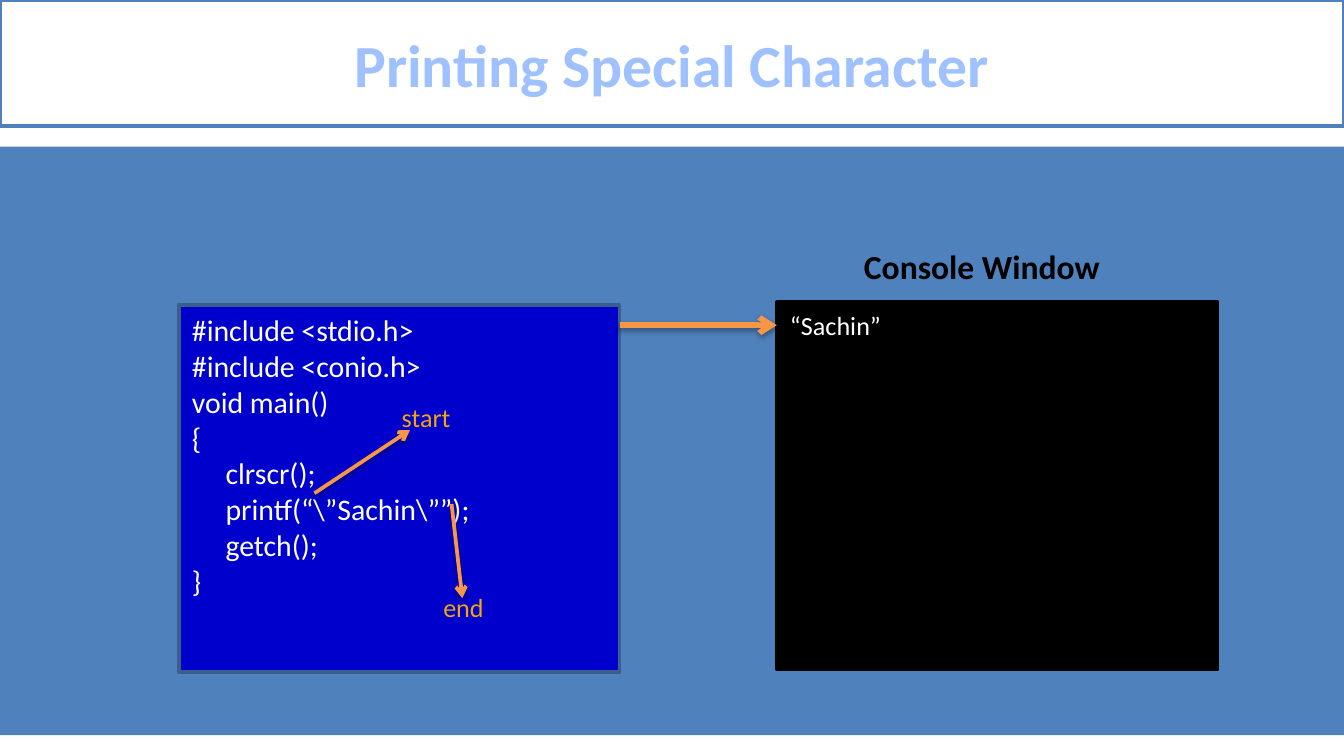
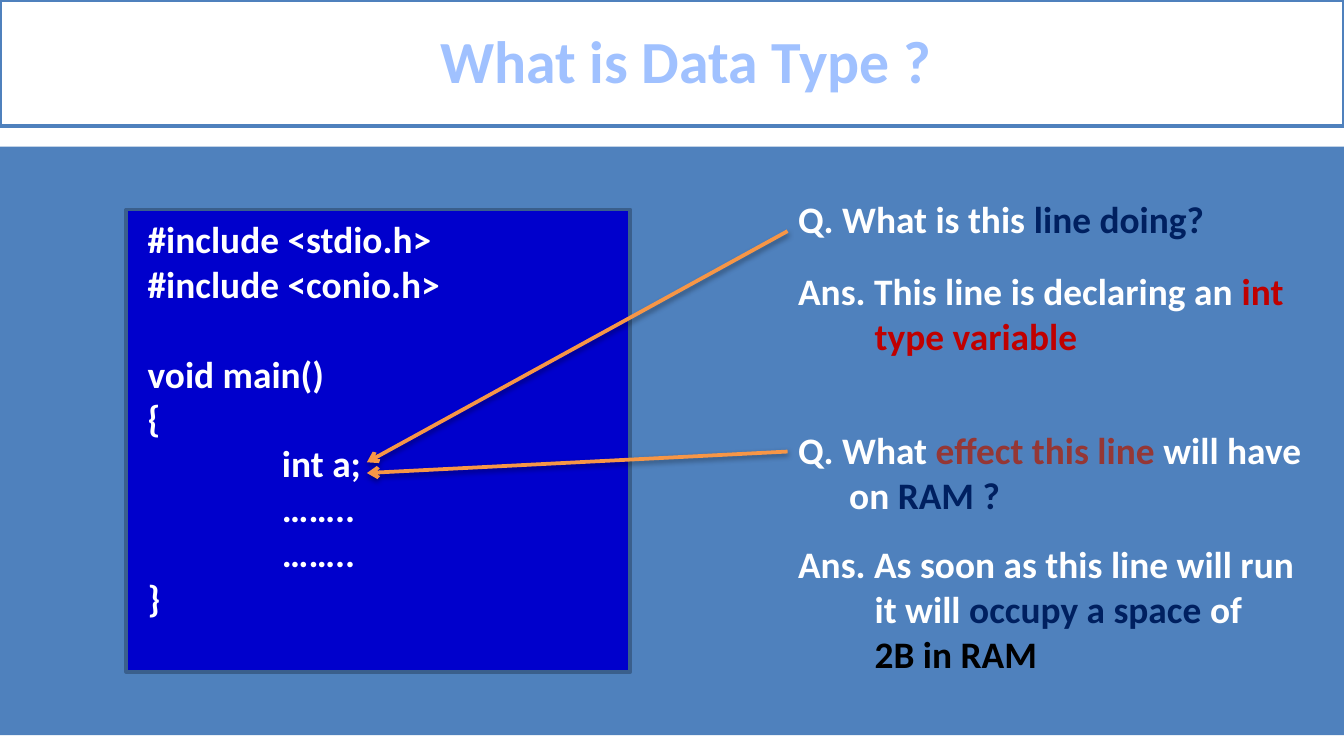
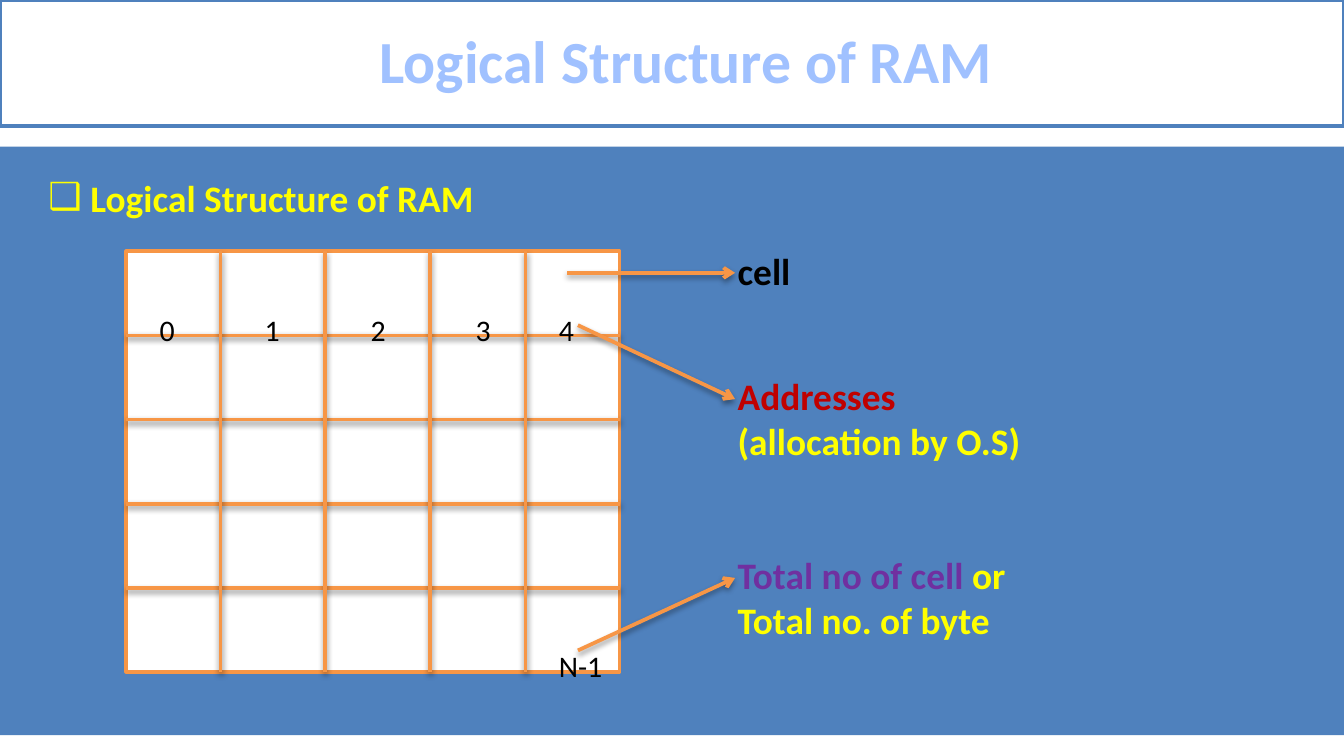
import pptx
import pptx.dml.color
import pptx.enum.shapes
import pptx.enum.text
import pptx.oxml
import pptx.oxml.ns
import pptx.util

Inches = pptx.util.Inches
Pt = pptx.util.Pt

FONT = "Calibri"
COLOURS = {
    name: pptx.dml.color.RGBColor.from_string(value)
    for name, value in {
        "white": "FFFFFF", "black": "000000", "band": "4F81BD", "title": "A0C1FF",
        "code": "0000CC", "code edge": "3A5F8C", "orange": "F79646", "amber": "F2A40D",
        "navy": "002060", "red": "C00000", "brown": "953735", "yellow": "FFFF00",
        "purple": "7030A0",
    }.items()
}
SHADOW = (
    '<a:effectLst %s><a:outerShdw blurRad="39370" dist="20320" dir="5400000" rotWithShape="0">'
    '<a:srgbClr val="000000"><a:alpha val="38000"/></a:srgbClr></a:outerShdw></a:effectLst>'
    % pptx.oxml.ns.nsdecls("a")
)
ARROWHEAD = '<a:tailEnd %s type="arrow"/>' % pptx.oxml.ns.nsdecls("a")


def add_text(slide, box, paragraphs, size, bold=False):
    """Add a text box; each paragraph is a list of (text, colour) runs."""
    frame = slide.shapes.add_textbox(*[Inches(length) for length in box]).text_frame
    frame.word_wrap = True
    for index, runs in enumerate(paragraphs):
        paragraph = frame.add_paragraph() if index else frame.paragraphs[0]
        for text, colour in runs:
            run = paragraph.add_run()
            run.text = text
            run.font.name = FONT
            run.font.size = Pt(size)
            run.font.bold = bold
            run.font.color.rgb = COLOURS[colour]
    return frame.paragraphs


def add_line(slide, start, end, arrow=True, width=2):
    line = slide.shapes.add_connector(
        pptx.enum.shapes.MSO_CONNECTOR.STRAIGHT,
        *[Inches(length) for length in (*start, *end)])
    line.line.color.rgb = COLOURS["orange"]
    line.line.width = Pt(width)
    if arrow:
        line.line._get_or_add_ln().append(pptx.oxml.parse_xml(ARROWHEAD))
    line._element.spPr.append(pptx.oxml.parse_xml(SHADOW))


presentation = pptx.Presentation()
presentation.slide_width = Inches(10)
presentation.slide_height = Inches(10 * 9 / 16)

# Shared frame: title, blue band and panels (box, fill, edge)
TITLE_AND_CONTENT, TITLE_ONLY = 1, 5
slide_plans = [
    ("Printing Special Character", TITLE_ONLY, 0, [
        ((5.78, 2.25, 3.28, 2.73), "black", "black"),
        ((1.33, 2.27, 3.28, 2.73), "code", "code edge"),
    ]),
    ("What is Data Type ?", TITLE_ONLY, 0.21, [
        ((0.94, 1.56, 3.75, 3.44), "code", "code edge"),
    ]),
    ("Logical Structure of RAM", TITLE_AND_CONTENT, 0.21, [
        ((0.94, 1.87, 3.67, 3.13), "white", "orange"),
    ]),
]
for title_text, layout, title_indent, panels in slide_plans:
    slide = presentation.slides.add_slide(presentation.slide_layouts[layout])

    title = slide.shapes.title
    title.left, title.top, title.width, title.height = 0, 0, Inches(10), Inches(0.94)
    title.fill.solid()
    title.fill.fore_color.rgb = COLOURS["white"]
    title.line.color.rgb = COLOURS["band"]
    title.line.width = Pt(2)
    title.text_frame.auto_size = pptx.enum.text.MSO_AUTO_SIZE.NONE
    title.text_frame.vertical_anchor = pptx.enum.text.MSO_ANCHOR.MIDDLE
    paragraph = title.text_frame.paragraphs[0]
    paragraph.alignment = pptx.enum.text.PP_ALIGN.CENTER
    if title_indent:
        paragraph._p.get_or_add_pPr().set("marL", str(Inches(title_indent)))
        paragraph.line_spacing = 0.96
    run = paragraph.add_run()
    run.text = title_text
    run.font.name = FONT
    run.font.size = Pt(32)
    run.font.bold = True
    run.font.color.rgb = COLOURS["title"]

    band = ((0, 1.09, 10, 4.38), "band", None)
    for depth, (box, fill, edge) in enumerate([band] + panels):
        panel = slide.shapes.add_shape(
            pptx.enum.shapes.MSO_SHAPE.RECTANGLE, *[Inches(length) for length in box])
        panel.shadow.inherit = False
        panel.fill.solid()
        panel.fill.fore_color.rgb = COLOURS[fill]
        if edge:
            panel.line.color.rgb = COLOURS[edge]
            panel.line.width = Pt(2)
        else:
            panel.line.fill.background()
        slide.shapes._spTree.insert(2 + depth, panel._element)

special_slide, type_slide, ram_slide = presentation.slides

# Printing special characters
add_text(special_slide, (5.78, 2.25, 0.94, 0.34), [[("“Sachin”", "white")]], 14)
add_text(special_slide, (6.33, 1.78, 1.98, 0.4), [[("Console Window", "black")]], 18, True)
special_code = [
    "#include <stdio.h>",
    "#include <conio.h>",
    "void main()",
    "{",
    "     clrscr();",
    "     printf(“\\”Sachin\\””);",
    "     getch();",
    "}",
]
add_text(special_slide, (1.33, 2.27, 3.28, 2.59),
         [[(code_line, "white")] for code_line in special_code], 16)
add_line(special_slide, (4.61, 2.42), (5.78, 2.42), width=3)
add_line(special_slide, (3.36, 3.75), (3.44, 4.45))
add_line(special_slide, (2.34, 3.67), (3.05, 3.2))
add_text(special_slide, (3.2, 4.35, 0.94, 0.34), [[("end", "amber")]], 14)
add_text(special_slide, (2.89, 2.94, 0.94, 0.34), [[("start", "amber")]], 14)

# Data type
type_code = [
    "#include <stdio.h>", "#include <conio.h>", "void main()", "{",
    "\tint a;", "\t……..", "\t……..", "}",
]
code_paragraphs = add_text(type_slide, (0, 1.56, 3.83, 3.13),
                           [[(code_line, "white")] for code_line in type_code], 20, True)
for paragraph in code_paragraphs:
    properties = paragraph._p.get_or_add_pPr()
    properties.set("marL", str(Inches(1)))
    properties.set("defTabSz", str(Inches(1)))
code_paragraphs[type_code.index("void main()")].space_before = Pt(24)

QUESTION_HANG, ANSWER_HANG = 0.38, 0.57
discussion = [
    (1.41, 0.44, QUESTION_HANG, [
        [("Q. What is this ", "white"), ("line doing?", "navy")],
    ]),
    (1.95, 0.77, ANSWER_HANG, [
        [("Ans. This line is declaring an ", "white"), ("int", "red")],
        [("type variable", "red")],
    ]),
    (3.13, 0.77, QUESTION_HANG, [
        [("Q. What ", "white"), ("effect this line ", "brown"), ("will have", "white")],
        [("on ", "white"), ("RAM ?", "navy")],
    ]),
    (3.98, 1.11, ANSWER_HANG, [
        [("Ans. As soon as this line will run", "white")],
        [("it will ", "white"), ("occupy a space ", "navy"), ("of", "white")],
        [("2B in RAM", "black")],
    ]),
]
for top, height, hang, lines in discussion:
    paragraphs = add_text(type_slide, (4.84, top, 5.16, height), lines, 20, True)
    for index, paragraph in enumerate(paragraphs):
        indent = 1 + hang if index else 1
        paragraph._p.get_or_add_pPr().set("marL", str(Inches(indent)))
add_line(type_slide, (5.86, 1.72), (2.73, 3.44))
add_line(type_slide, (5.86, 3.36), (2.73, 3.52))

# Logical structure of RAM
heading = ram_slide.placeholders[1]
heading.left, heading.top, heading.width, heading.height = 0, Inches(1.25), Inches(10), Inches(0.44)
heading.text_frame.auto_size = pptx.enum.text.MSO_AUTO_SIZE.NONE
paragraph = heading.text_frame.paragraphs[0]
properties = paragraph._p.get_or_add_pPr()
properties.set("marL", str(Inches(0.51)))
properties.set("indent", str(Inches(-0.25)))
properties.append(pptx.oxml.parse_xml('<a:buChar %s char="❑"/>' % pptx.oxml.ns.nsdecls("a")))
paragraph.space_before = Pt(0)
run = paragraph.add_run()
run.text = " Logical Structure of RAM"
run.font.name = FONT
run.font.size = Pt(20)
run.font.bold = True
run.font.color.rgb = COLOURS["yellow"]

grid_left, grid_top, grid_right, grid_bottom = 0.94, 1.87, 4.61, 5
row_height = (grid_bottom - grid_top) / 5
for row in range(1, 5):
    y = grid_top + row * row_height
    add_line(ram_slide, (grid_left, y), (grid_right, y), arrow=False)
for x in (1.64, 2.42, 3.2, 3.91):
    add_line(ram_slide, (x, grid_top), (x, grid_bottom), arrow=False)

for address, left in enumerate((1.09, 1.87, 2.66, 3.44, 4.06)):
    width = 0.64 if address == 1 else 0.31
    add_text(ram_slide, (left, 2.27, width, 0.37), [[(str(address), "black")]], 16)
add_text(ram_slide, (4.06, 4.77, 0.64, 0.37), [[("N-1", "black")]], 16)

callouts = [
    ((4.22, 2.03), (5.47, 2.03), (5.39, 1.8, 1.17, 0.44), [[("cell", "black")]]),
    ((4.3, 2.42), (5.47, 2.97), (5.39, 2.73, 2.5, 0.77), [
        [("Addresses", "red")],
        [("(allocation by O.S)", "yellow")],
    ]),
    ((4.3, 4.84), (5.47, 4.3), (5.39, 4.06, 2.5, 0.77), [
        [("Total no of cell ", "purple"), ("or", "yellow")],
        [("Total no. of byte", "yellow")],
    ]),
]
for start, end, box, lines in callouts:
    add_line(ram_slide, start, end)
    add_text(ram_slide, box, lines, 20, True)

presentation.save("out.pptx")
